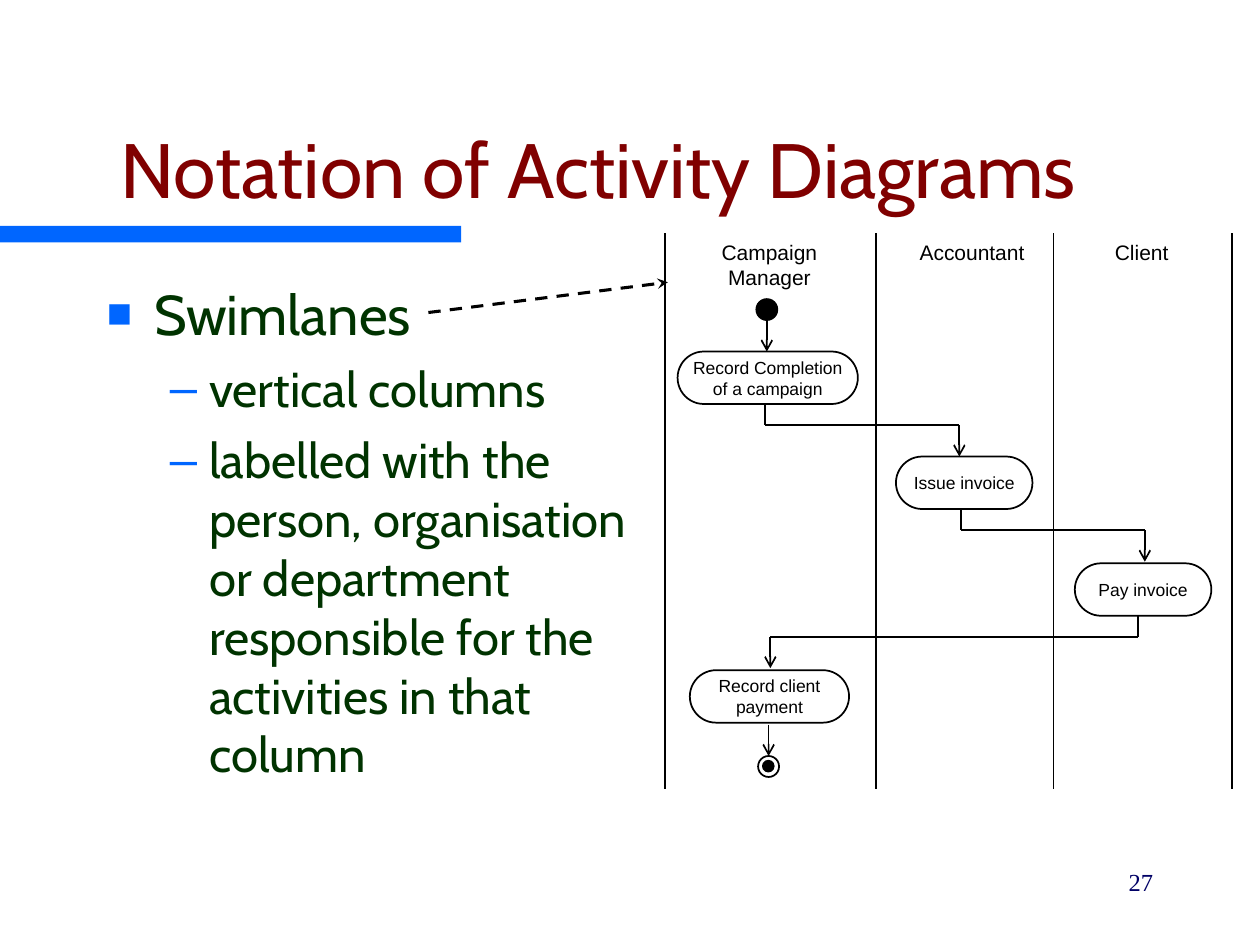
from lxml import etree
from pptx import Presentation
from pptx.dml.color import RGBColor
from pptx.enum import dml, shapes, text
from pptx.oxml.ns import qn
from pptx.util import Pt

COLORS = {"title": "800000", "body": "003300", "accent": "0066FF",
          "number": "000066", "ink": "000000", "paper": "FFFFFF"}
FORMATS = {
    "title": {"name": "Cabin", "size": Pt(44), "color": "title"},
    "topic": {"name": "Cabin", "size": Pt(32), "color": "body"},
    "detail": {"name": "Cabin", "size": Pt(28), "color": "body"},
    "lane": {"name": "Arial", "size": Pt(12), "color": "ink"},
    "activity": {"name": "Arial", "size": Pt(10), "color": "ink"},
    "number": {"name": "Times New Roman", "size": Pt(14), "color": "number"},
}
LEFT, CENTER, RIGHT = text.PP_ALIGN.LEFT, text.PP_ALIGN.CENTER, text.PP_ALIGN.RIGHT


def write(paragraph, words, style, alignment=LEFT):
    paragraph.text = words
    paragraph.alignment = alignment
    for run in paragraph.runs:
        for key, value in FORMATS[style].items():
            if key == "color":
                run.font.color.rgb = RGBColor.from_string(COLORS[value])
            else:
                setattr(run.font, key, value)


def add_line(x1, y1, x2, y2, head=None, width=1):
    line = slide.shapes.add_connector(
        shapes.MSO_CONNECTOR.STRAIGHT, Pt(x1), Pt(y1), Pt(x2), Pt(y2))
    line.line.color.rgb = RGBColor.from_string(COLORS["ink"])
    line.line.width = Pt(width)
    if head:
        etree.SubElement(line.line._get_or_add_ln(), qn("a:tailEnd"), type=head)
    etree.SubElement(line._element.spPr, qn("a:effectLst"))
    return line


presentation = Presentation()
presentation.slide_width, presentation.slide_height = Pt(720), Pt(540)
slide = presentation.slides.add_slide(presentation.slide_layouts[5])

# Accent bar
bar = slide.shapes.add_shape(shapes.MSO_SHAPE.RECTANGLE, 0, Pt(129), Pt(263.5), Pt(9.5))
bar.shadow.inherit = False
bar.fill.solid()
bar.fill.fore_color.rgb = RGBColor.from_string(COLORS["accent"])
bar.line.fill.background()

# Title
title = slide.shapes.title
title.left, title.top, title.width, title.height = Pt(18), Pt(36), Pt(648), Pt(90)
title.text_frame.auto_size = text.MSO_AUTO_SIZE.NONE
title.text_frame.vertical_anchor = text.MSO_ANCHOR.BOTTOM
write(title.text_frame.paragraphs[0], "Notation of Activity Diagrams", "title", CENTER)

# Bulleted text: words, style, level, indent, hanging, space before, bullet, bullet size
body = slide.shapes.add_textbox(Pt(54), Pt(156), Pt(612), Pt(324)).text_frame
body.word_wrap = True
details = ("labelled with the\vperson, organisation\vor department\v"
           "responsible for the\vactivities in that\vcolumn")
for index, (words, style, level, indent, hanging, space, bullet, percent) in enumerate([
    ("Swimlanes", "topic", 0, 27, 27, 8, "■", 75),
    ("vertical columns", "detail", 1, 58.5, 22.5, 7, "–", 100),
    (details, "detail", 1, 58.5, 22.5, 7, "–", 100),
]):
    paragraph = body.add_paragraph() if index else body.paragraphs[0]
    write(paragraph, words, style)
    paragraph.level = level
    paragraph.space_before = Pt(space)
    properties = paragraph._p.get_or_add_pPr()
    properties.set("marL", str(Pt(indent)))
    properties.set("indent", str(-Pt(hanging)))
    color = etree.SubElement(properties, qn("a:buClr"))
    etree.SubElement(color, qn("a:srgbClr"), val=COLORS["accent"])
    etree.SubElement(properties, qn("a:buSzPct"), val=str(percent * 1000))
    etree.SubElement(properties, qn("a:buFont"), typeface="Arial")
    etree.SubElement(properties, qn("a:buChar"), char=bullet)

# Swimlane borders and labels
LANE_TOP, LANE_BOTTOM = 133.2, 450.7
for x in (380.2, 500.4, 602, 704.2):
    add_line(x, LANE_TOP, x, LANE_BOTTOM)
for words, x, width, height, alignment in [
    ("Campaign\vManager", 405.2, 69, 36, CENTER),
    ("Accountant", 518.4, 75, 21.6, LEFT),
    ("Client", 630, 47, 21.6, LEFT),
]:
    label = slide.shapes.add_textbox(Pt(x), Pt(LANE_TOP), Pt(width), Pt(height))
    label.text_frame.word_wrap = False
    label.text_frame.auto_size = text.MSO_AUTO_SIZE.SHAPE_TO_FIT_TEXT
    write(label.text_frame.paragraphs[0], words, "lane", alignment)

# Activities
for lines, x, y, width in [
    (["Record Completion", "of a campaign"], 387.2, 200.9, 103),
    (["Issue invoice"], 512, 260.9, 78),
    (["Pay invoice"], 614.2, 321.9, 78),
    (["Record client", "payment"], 394.2, 383, 91),
]:
    activity = slide.shapes.add_shape(
        shapes.MSO_SHAPE.ROUNDED_RECTANGLE, Pt(x), Pt(y), Pt(width), Pt(30))
    activity.adjustments[0] = 0.5
    activity.shadow.inherit = False
    activity.fill.solid()
    activity.fill.fore_color.rgb = RGBColor.from_string(COLORS["paper"])
    activity.line.color.rgb = RGBColor.from_string(COLORS["ink"])
    activity.line.width = Pt(1)
    frame = activity.text_frame
    frame.word_wrap = False
    frame.vertical_anchor = text.MSO_ANCHOR.MIDDLE
    for index, words in enumerate(lines):
        paragraph = frame.add_paragraph() if index else frame.paragraphs[0]
        write(paragraph, words, "activity", CENTER)

# Start and end nodes
for x, y, size, fill in [(432.2, 170.9, 12, "ink"), (433.2, 432, 12, "paper"),
                         (435.9, 434.7, 6.2, "ink")]:
    node = slide.shapes.add_shape(shapes.MSO_SHAPE.OVAL, Pt(x), Pt(y), Pt(size), Pt(size))
    node.shadow.inherit = False
    node.fill.solid()
    node.fill.fore_color.rgb = RGBColor.from_string(COLORS[fill])
    node.line.color.rgb = RGBColor.from_string(COLORS["ink"])
    node.line.width = Pt(1)

# Flows between lanes: down from one activity, across, down to the next
for x1, x2, top, middle, bottom in [
    (437.2, 548.2, 230.9, 242.9, 260.9),
    (549.2, 654.2, 290.9, 302.9, 321),
    (650.2, 440.2, 352, 364, 381.8),
]:
    add_line(x1, top, x1, middle)
    add_line(x1, middle, x2, middle)
    add_line(x2, middle, x2, bottom, "arrow")

# Flows from the start node and to the end node
add_line(438.2, 182.9, 438.2, 200.9, "arrow")
add_line(439.2, 414, 439.2, 432, "arrow")

# Pointer from the term to the swimlanes
pointer = add_line(244.8, 178.6, 381.6, 161.3, "stealth", 1.75)
pointer.line.dash_style = dml.MSO_LINE.DASH

# Slide number
number = slide.shapes.add_textbox(Pt(516), Pt(492), Pt(150), Pt(36)).text_frame
number.word_wrap = True
write(number.paragraphs[0], "27", "number", RIGHT)
number.paragraphs[0].space_before = Pt(8.8)

presentation.save("out.pptx")
